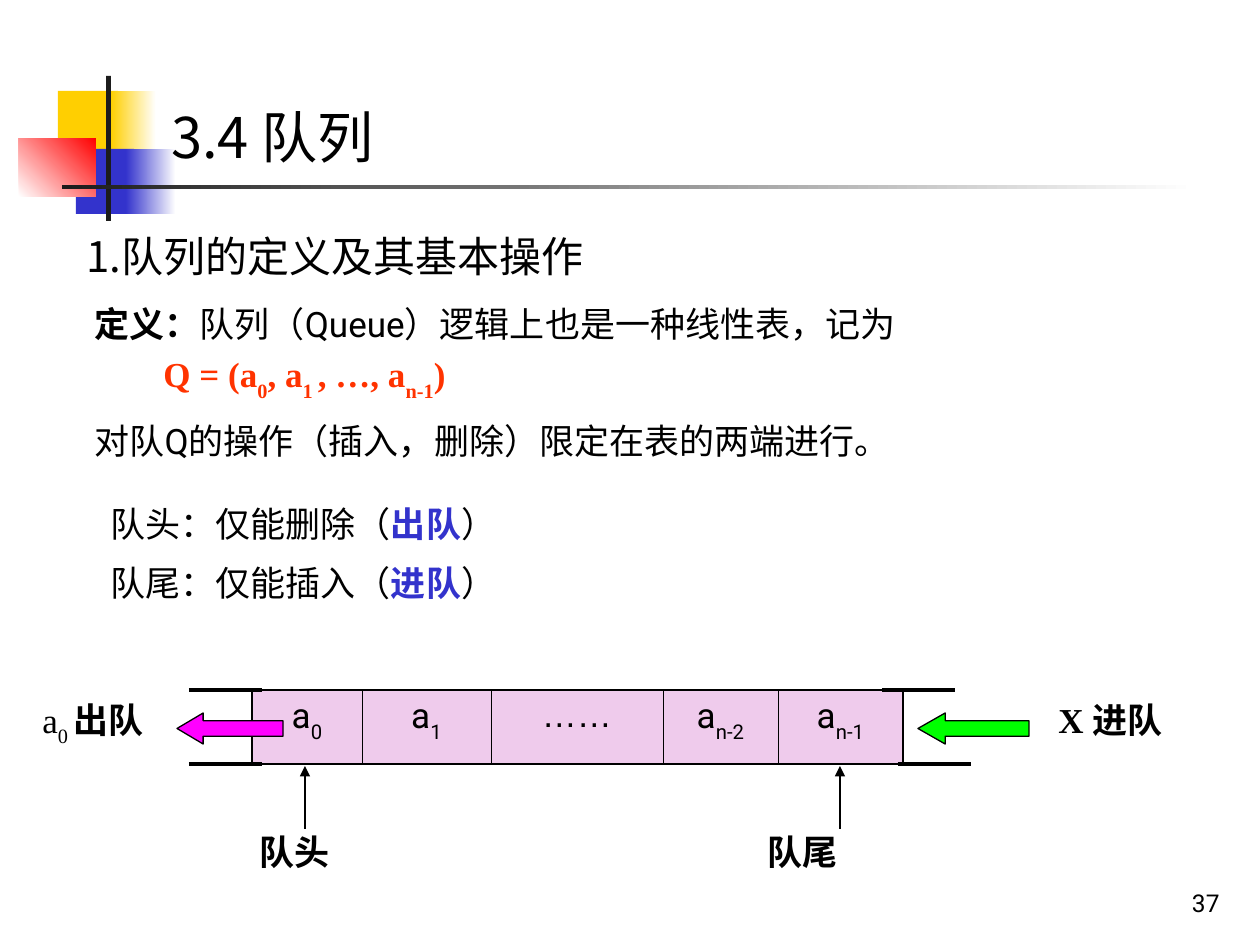
from lxml import etree
from pptx import Presentation
from pptx import util as u
from pptx.dml.color import RGBColor
from pptx.enum import shapes, text
from pptx.oxml.ns import qn

PX = 914400 // 126
SANS, SERIF, CJK = "Roboto", "Times New Roman", "Noto Sans CJK SC"
BLACK, BLUE, RED = "000000", "3333CC", "FF3300"
LEFT, CENTER, RIGHT, JUST = (text.PP_ALIGN.LEFT, text.PP_ALIGN.CENTER,
                             text.PP_ALIGN.RIGHT, text.PP_ALIGN.JUSTIFY)
SUB, BOLD = {"sub": True}, {"bold": True}

# Ornament: box, then one colour or (from, to, angle)
ORNAMENT = [
    ((58, 91, 60, 65), "FFCF01"),
    ((111, 91, 45, 65), ("FFCF01", "FFFFFF", 0)),
    ((76, 149, 58, 65), BLUE),
    ((126, 149, 50, 65), (BLUE, "FFFFFF", 0)),
    ((19, 138, 77, 59), ("FFFFFF", "FF0000", 45)),
    ((106, 76, 5, 145), "1C1C1C"),
    ((62, 185, 1134, 4), ("1C1C1C", "FFFFFF", 0)),
]

# Paragraph: list of (text, run format) and paragraph format
FORMULA = [("Q = (a", {}), ("0", SUB), (", a", {}), ("1 ", SUB),
           (", …, a", {}), ("n-1", SUB), (")", {})]
DEFINITION = [
    ([("定义：", BOLD), ("队列（Queue）逻辑上也是一种线性表，记为", {})], {}),
    ([(t, {"font": SERIF, "color": RED, "bold": True, **f}) for t, f in FORMULA],
     {"margin": 69, "hang": 0, "before": 5}),
    ([("对队Q的操作（插入，删除）限定在表的两端进行。", {})],
     {"spacing": 1.2, "before": 5}),
]
ENDS = [
    ([(f"{end}：仅能{action}（", {}), (name, {"color": BLUE, "bold": True}), ("）", {})],
     {"spacing": 1.2, "before": 5 * i})
    for i, (end, action, name) in enumerate(
        [("队头", "删除", "出队"), ("队尾", "插入", "进队")])
]

# Queue cells: base, subscript, font, width
CELLS = [("a", "0", SANS, 110), ("a", "1", SANS, 129), ("……", "", "Arial", 172),
         ("a", "n-2", SANS, 115), ("a", "n-1", SANS, 125)]
QUEUE_X, QUEUE_Y, QUEUE_H = 252, 690, 74
RAILS = [(189, 0), (189, 1), (882, 0), (898, 1)]   # x, 0 top or 1 bottom
POINTERS = [("队头", 305, 247), ("队尾", 840, 755)]  # label, arrow x, label x
ARROWS = [((177, 713, 106, 31), "FF00FF", 0.844), ((918, 713, 111, 31), "00FF00", 0.879)]


def px(*values):
    return [u.Emu(v * PX) for v in values]


def rgb(color):
    return RGBColor.from_string(color)


def add_run(p, value, font=SANS, size=20, color=BLACK, bold=False, sub=False):
    r = p.add_run()
    r.text = value
    r.font.name, r.font.size, r.font.bold = font, u.Pt(size), bold
    r.font.color.rgb = rgb(color)
    rPr = r.font._element
    east = etree.SubElement(rPr, qn("a:ea"))
    east.set("typeface", font if "CJK" in font else CJK)
    if sub:
        rPr.set("baseline", "-30000")


def fill_paragraph(p, runs, align=LEFT, margin=0, hang=0, before=0, spacing=None, **base):
    p.alignment = align
    pPr = p._p.get_or_add_pPr()
    pPr.set("marL", str(margin * PX))
    pPr.set("indent", str(-hang * PX))
    if before:
        p.space_before = u.Pt(before)
    if spacing:
        p.line_spacing = spacing
    for value, fmt in runs:
        add_run(p, value, **{**base, **fmt})


def add_text(s, box, paragraphs, anchor=text.MSO_ANCHOR.TOP, **base):
    """Text box; paragraphs is a string or a list of (runs, format)."""
    if isinstance(paragraphs, str):
        paragraphs = [([(paragraphs, {})], {})]
    tf = s.shapes.add_textbox(*px(*box)).text_frame
    tf.word_wrap, tf.vertical_anchor = True, anchor
    for i, (runs, fmt) in enumerate(paragraphs):
        p = tf.add_paragraph() if i else tf.paragraphs[0]
        fill_paragraph(p, runs, **{**base, **fmt})


def add_shape(s, box, fill, kind=shapes.MSO_SHAPE.RECTANGLE, outline=None):
    sp = s.shapes.add_shape(kind, *px(*box))
    sp.shadow.inherit = False
    if isinstance(fill, tuple):
        *colors, angle = fill
        sp.fill.gradient()
        sp.fill.gradient_angle = angle
        for stop, color in zip(sp.fill.gradient_stops, colors):
            stop.color.rgb = rgb(color)
    else:
        sp.fill.solid()
        sp.fill.fore_color.rgb = rgb(fill)
    if outline:
        sp.line.color.rgb, sp.line.width = rgb(BLACK), u.Pt(outline)
    else:
        sp.line.fill.background()
    return sp


def add_line(s, x1, y1, x2, y2, width, arrow=False):
    c = s.shapes.add_connector(shapes.MSO_CONNECTOR.STRAIGHT, *px(x1, y1, x2, y2))
    c.line.color.rgb, c.line.width = rgb(BLACK), u.Pt(width)
    if arrow:
        etree.SubElement(c.line._get_or_add_ln(), qn("a:tailEnd")).set("type", "triangle")
    etree.SubElement(c._element.spPr, qn("a:effectLst"))


def set_borders(cell, widths):
    tcPr = cell._tc.get_or_add_tcPr()
    for i, (side, width) in enumerate(widths.items()):
        ln = etree.Element(qn(f"a:ln{side}"), w=str(u.Pt(width)))
        fill = etree.SubElement(ln, qn("a:solidFill"))
        etree.SubElement(fill, qn("a:srgbClr")).set("val", BLACK)
        tcPr.insert(i, ln)


def add_queue(s):
    widths = [c[3] for c in CELLS]
    table = s.shapes.add_table(1, len(CELLS), *px(QUEUE_X, QUEUE_Y, sum(widths), QUEUE_H)).table
    table.first_row = table.horz_banding = False
    last = len(CELLS) - 1
    for i, (base, sub, font, width) in enumerate(CELLS):
        table.columns[i].width = px(width)[0]
        cell = table.cell(0, i)
        cell.fill.solid()
        cell.fill.fore_color.rgb = rgb("EFCBEC")
        runs = [(base, {})] + ([(sub, SUB)] if sub else [])
        fill_paragraph(cell.text_frame.paragraphs[0], runs, align=CENTER, font=font)
        set_borders(cell, {"L": 0.45 if i else 1.08, "R": 0.45 if i < last else 1.08,
                           "T": 1.08, "B": 1.08})


def main():
    prs = Presentation()
    prs.slide_width, prs.slide_height = px(1260, 945)
    s = prs.slides.add_slide(prs.slide_layouts[6])

    # Ornament and headings
    for box, fill in ORNAMENT:
        add_shape(s, box, fill)
    add_text(s, (74, 224, 932, 63), "1.队列的定义及其基本操作", font=CJK, size=24)
    add_text(s, (159, 96, 1101, 81), "3.4 队列", font="Noto Sans CJK JP", size=32)

    # Body
    body = {"align": JUST, "margin": 48, "hang": 48}
    add_text(s, (82, 296, 1121, 184), DEFINITION, **body)
    add_text(s, (98, 488, 1121, 135), ENDS, **body)

    # Queue, its rails and its pointers
    add_queue(s)
    for x, bottom in RAILS:
        y = QUEUE_Y + bottom * QUEUE_H
        add_line(s, x, y, x + 73, y, 2.25)
    for label, x, label_x in POINTERS:
        add_line(s, x, 829, x, 766, 0.75, arrow=True)
        add_text(s, (label_x, 824, 110, 55), label, font=SERIF, bold=True)

    # Leaving and entering elements
    for box, fill, head in ARROWS:
        sp = add_shape(s, box, fill, shapes.MSO_SHAPE.LEFT_ARROW, 0.75)
        sp.adjustments[0], sp.adjustments[1] = 0.5, head
    add_text(s, (30, 692, 167, 63), [([("a", {}), ("0 ", SUB), ("出队", BOLD)], {})], font=SERIF)
    add_text(s, (1024, 692, 173, 55), "X 进队", font=SERIF, bold=True, align=CENTER)

    # Slide number
    add_text(s, (970, 861, 262, 63), "37", anchor=text.MSO_ANCHOR.BOTTOM, size=14, align=RIGHT)
    prs.save("out.pptx")


if __name__ == "__main__":
    main()
